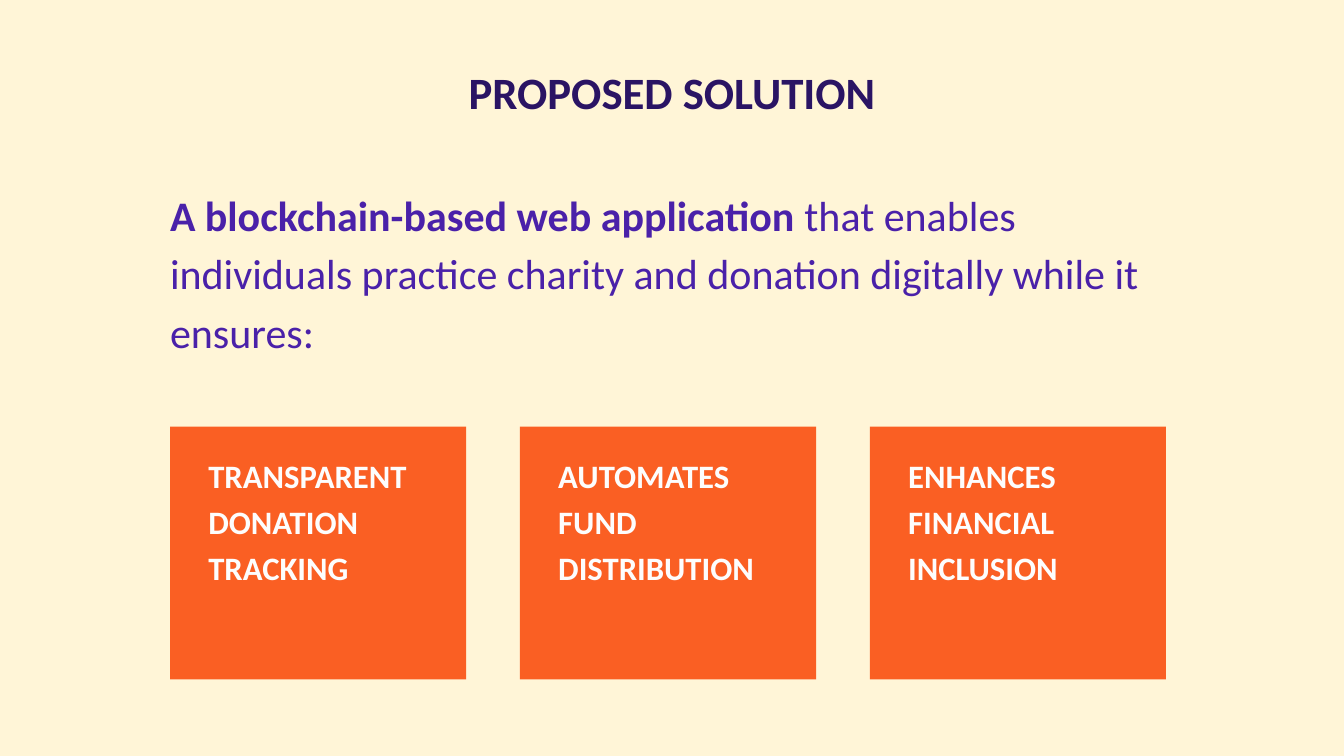
from pptx import Presentation
from pptx.dml.color import RGBColor
from pptx.enum.shapes import MSO_SHAPE
from pptx.enum.text import MSO_ANCHOR, MSO_AUTO_SIZE, PP_ALIGN
from pptx.oxml.ns import qn
from pptx.util import Inches, Pt

COLORS = {
    "page": "FFF5D7",
    "title": "2A1464",
    "body": "4A21A9",
    "card": "FA5F23",
    "label": "FDFDFD",
}
CARDS = [
    "TRANSPARENT DONATION TRACKING",
    "AUTOMATES FUND DISTRIBUTION",
    "ENHANCES FINANCIAL INCLUSION",
]


def paint(fill, name):
    fill.solid()
    fill.fore_color.rgb = RGBColor.from_string(COLORS[name])


def place(shape, box):
    shape.left, shape.top, shape.width, shape.height = map(Inches, box)


def style(shape, size, color, line, align=PP_ALIGN.LEFT, inset=(0, 0, 0, 0)):
    """Format the one paragraph of a shape; inset is left, top, right, bottom."""
    frame = shape.text_frame
    frame.word_wrap = True
    frame.auto_size = MSO_AUTO_SIZE.NONE
    frame.vertical_anchor = MSO_ANCHOR.TOP
    (frame.margin_left, frame.margin_top,
     frame.margin_right, frame.margin_bottom) = map(Inches, inset)
    para = frame.paragraphs[0]
    para.alignment = align
    para.line_spacing = Pt(line)
    para.space_before = Pt(0)
    for run in para.runs:
        font = run.font
        font.name, font.size = "Calibri", Pt(size)
        font.bold = True
        font.color.rgb = RGBColor.from_string(COLORS[color])


def add_title(slide, box):
    title = slide.shapes.title
    place(title, box)
    title.text_frame.text = "PROPOSED SOLUTION"
    style(title, 48, "title", 67.2, PP_ALIGN.CENTER)


def add_intro(slide, box):
    body = slide.placeholders[1]
    place(body, box)
    para = body.text_frame.paragraphs[0]
    props = para._p.get_or_add_pPr()
    props.set("marL", "0")
    props.set("indent", "0")
    props.append(props.makeelement(qn("a:buNone"), {}))
    para.add_run().text = "A blockchain-based web application "
    rest = para.add_run()
    rest.text = ("that enables individuals practice charity and donation "
                 "digitally while it ensures:")
    style(body, 45, "body", 63)
    rest.font.bold = False


def add_cards(slide, box, gap):
    """Share the box among equal cards in a row."""
    left, top, width, height = box
    count = len(CARDS)
    wide = (width - gap * (count - 1)) / count
    for i, label in enumerate(CARDS):
        card = slide.shapes.add_shape(
            MSO_SHAPE.RECTANGLE, Inches(left + i * (wide + gap)), Inches(top),
            Inches(wide), Inches(height))
        card.shadow.inherit = False
        paint(card.fill, "card")
        card.line.fill.background()
        card.text_frame.text = label
        style(card, 35, "label", 49, inset=(0.57, 0.34, 0.25, 0))


def main():
    deck = Presentation()
    deck.slide_width, deck.slide_height = Inches(20), Inches(11.25)
    slide = deck.slides.add_slide(deck.slide_layouts[1])
    paint(slide.background.fill, "page")
    add_title(slide, (5.95, 0.83, 8.1, 1.09))
    add_intro(slide, (2.53, 2.69, 14.58, 2.67))
    add_cards(slide, (2.53, 6.35, 14.82, 3.76), gap=0.8)
    deck.save("out.pptx")


if __name__ == "__main__":
    main()
